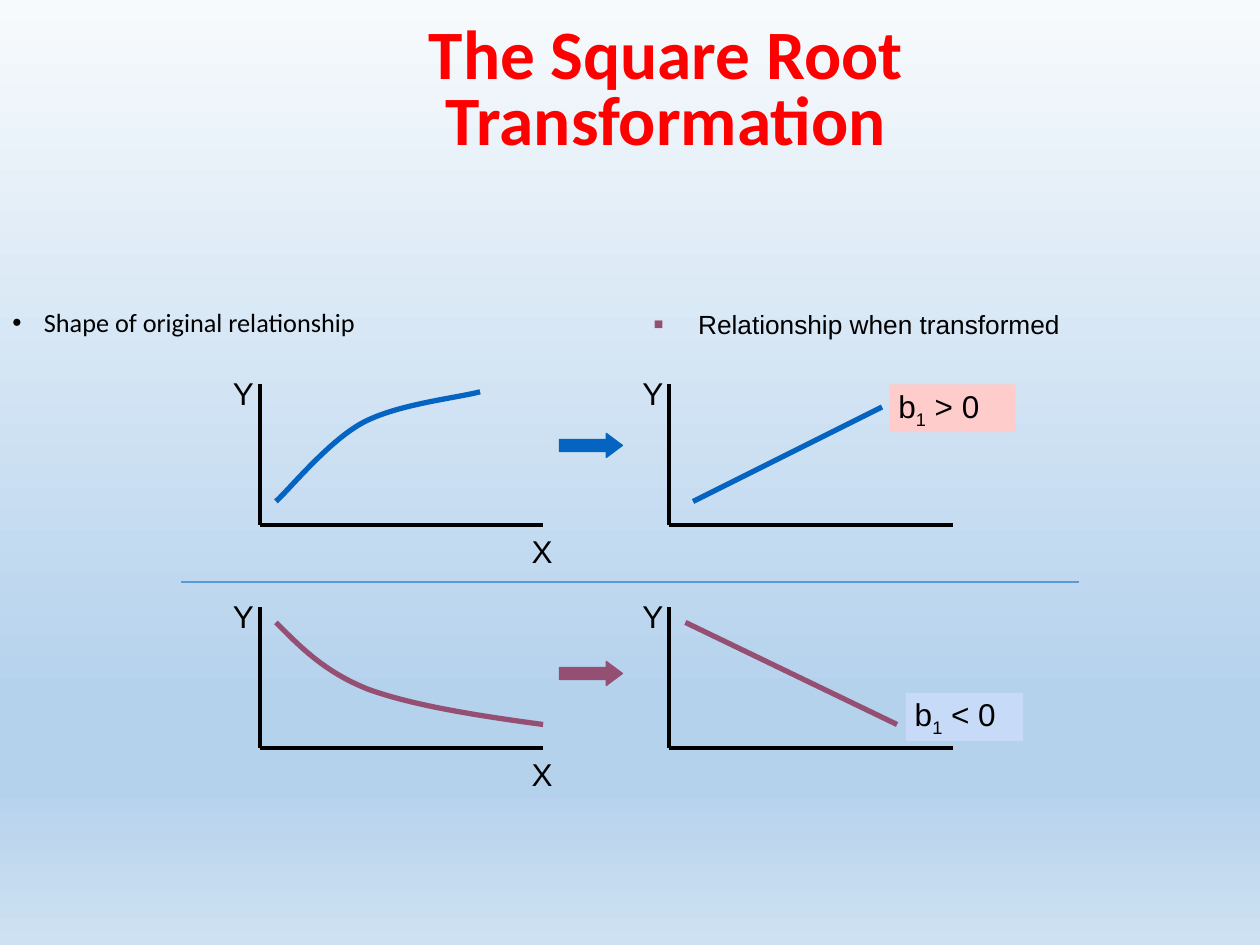
from lxml import etree
from pptx import Presentation
from pptx import util as u
from pptx.dml import color
from pptx.enum import shapes, text
from pptx.oxml import ns

COLORS = {"title": "FF0000", "ink": "000000", "rise": "0563C1", "fall": "954F72",
          "divider": "5B9BD5", "rise_tag": "FFCCCC", "fall_tag": "C7DAF7"}
BACKGROUND = [(0, "F7FAFD"), (74, "B5D2EC"), (83, "B5D2EC"), (100, "CEE1F2")]
TIGHT = (0.07, 0.04)


def rgb(name):
    return color.RGBColor.from_string(COLORS[name])


def add_xml(parent, tag, **attributes):
    return etree.SubElement(parent, ns.qn(tag), attributes)


def write(frame, runs, size=18, font="Arial", ink="ink", bold=False, spacing=1.0,
          align=text.PP_ALIGN.LEFT, anchor=text.MSO_ANCHOR.TOP, insets=(0.1, 0.05),
          bullet=None, indent=0, bullet_ink="ink", bullet_size=100):
    """Fill a text frame with runs; every second run is a subscript."""
    frame.word_wrap = True
    frame.auto_size = text.MSO_AUTO_SIZE.NONE
    frame.vertical_anchor = anchor
    frame.margin_left = frame.margin_right = u.Inches(insets[0])
    frame.margin_top = frame.margin_bottom = u.Inches(insets[1])
    line = frame.paragraphs[0]
    line.alignment = align
    line.line_spacing = spacing
    line.space_before = u.Pt(0)
    if bullet:
        props = line._p.get_or_add_pPr()
        props.set("marL", str(u.Inches(indent)))
        props.set("indent", str(-u.Inches(indent)))
        add_xml(add_xml(props, "a:buClr"), "a:srgbClr", val=COLORS[bullet_ink])
        add_xml(props, "a:buSzPct", val=str(bullet_size * 1000))
        add_xml(props, "a:buFont", typeface="Arial")
        add_xml(props, "a:buChar", char=bullet)
    for position, words in enumerate(runs):
        run = line.add_run()
        run.text = words
        run.font.size = u.Pt(size)
        run.font.name = font
        run.font.bold = bold
        run.font.color.rgb = rgb(ink)
        if position % 2:
            run.font._element.set("baseline", "-25000")


class Canvas:
    """Holds the current slide and draws each kind of element in one style."""

    def __init__(self, slide):
        self.slide = slide

    def background(self, stops):
        self.slide.background.fill.gradient()
        self.slide.background.fill.gradient_angle = 270
        stop_list = self.slide.element.find(".//" + ns.qn("a:gsLst"))
        for old in list(stop_list):
            stop_list.remove(old)
        for percent, value in stops:
            stop = add_xml(stop_list, "a:gs", pos=str(percent * 1000))
            add_xml(stop, "a:srgbClr", val=value)

    def title(self, words, *box):
        heading = self.slide.shapes.title
        heading.left, heading.top, heading.width, heading.height = map(u.Inches, box)
        write(heading.text_frame, [words], size=39.6, font="Calibri", ink="title",
              bold=True, spacing=0.8, align=text.PP_ALIGN.CENTER,
              anchor=text.MSO_ANCHOR.MIDDLE)

    def label(self, words, *box, **style):
        label = self.slide.shapes.add_textbox(*map(u.Inches, box))
        write(label.text_frame, [words], **style)

    def block(self, kind, fill, *box):
        block = self.slide.shapes.add_shape(kind, *map(u.Inches, box))
        block.shadow.inherit = False
        block.fill.solid()
        block.fill.fore_color.rgb = rgb(fill)
        block.line.fill.background()
        return block

    def tag(self, runs, fill, *box):
        tag = self.block(shapes.MSO_SHAPE.RECTANGLE, fill, *box)
        write(tag.text_frame, runs, anchor=text.MSO_ANCHOR.MIDDLE, insets=TIGHT)

    def arrow(self, ink, *box):
        arrow = self.block(shapes.MSO_SHAPE.RIGHT_ARROW, ink, *box)
        arrow.adjustments[1] = 0.667
        arrow.line.color.rgb = rgb(ink)
        arrow.line.width = u.Pt(0.75)

    def line(self, start, end, ink="ink", width=2.25):
        line = self.slide.shapes.add_connector(
            shapes.MSO_CONNECTOR.STRAIGHT, *map(u.Inches, start + end))
        line.line.color.rgb = rgb(ink)
        line.line.width = u.Pt(width)
        add_xml(line._element.spPr, "a:effectLst")

    def curve(self, points, ink):
        """Draw cubic Bezier segments: a start, then three points for each."""
        start, *controls = [(u.Inches(x), u.Inches(y)) for x, y in points]
        builder = self.slide.shapes.build_freeform(*start)
        builder.add_line_segments(controls, close=False)
        curve = builder.convert_to_shape()
        curve.shadow.inherit = False
        curve.fill.background()
        curve.line.color.rgb = rgb(ink)
        curve.line.width = u.Pt(3)
        outline = curve._element.find(".//" + ns.qn("a:path"))
        steps = outline.findall(ns.qn("a:lnTo"))
        for first in range(0, len(steps), 3):
            bezier = add_xml(outline, "a:cubicBezTo")
            for step in steps[first:first + 3]:
                bezier.append(step[0])
                outline.remove(step)

    def axes(self, left, top, x_label):
        base = top + 1.12
        self.line((left, top), (left, base))
        self.line((left, base), (left + 2.25, base))
        self.label("Y", left - 0.31, top - 0.13, 0.31, 0.4)
        if x_label:
            self.label("X", left + 2.06, base, 0.31, 0.4)


def main():
    deck = Presentation()
    deck.slide_width, deck.slide_height = u.Inches(10), u.Inches(7.5)
    canvas = Canvas(deck.slides.add_slide(deck.slide_layouts[5]))
    canvas.background(BACKGROUND)
    canvas.title("The Square Root Transformation", 2.16, 0.33, 6.25, 0.81)
    canvas.label("Shape of original relationship", 0, 2.41, 3.25, 0.59, size=15,
                 font="Calibri", spacing=0.9, bullet="•", indent=0.25)
    canvas.label("Relationship when transformed", 5.12, 2.41, 3.38, 0.59, size=15,
                 insets=TIGHT, bullet="■", indent=0.35, bullet_ink="fall",
                 bullet_size=60)

    for top in (3.05, 4.82):
        canvas.axes(2.06, top, x_label=True)
        canvas.axes(5.31, top, x_label=False)
    canvas.line((1.44, 4.62), (8.56, 4.62), "divider", 1.5)

    canvas.curve([(2.19, 3.98), (2.3, 3.88), (2.6, 3.51), (2.87, 3.36),
                  (3.14, 3.21), (3.62, 3.16), (3.81, 3.11)], "rise")
    canvas.arrow("rise", 4.44, 3.44, 0.5, 0.19)
    canvas.line((5.5, 3.98), (7, 3.23), "rise", 3)
    canvas.tag(["b", "1", " > 0"], "rise_tag", 7.06, 3.05, 1, 0.38)

    canvas.curve([(2.19, 4.94), (2.38, 5.13), (2.57, 5.33), (2.92, 5.47),
                  (3.28, 5.6), (3.79, 5.68), (4.31, 5.75)], "fall")
    canvas.arrow("fall", 4.44, 5.25, 0.5, 0.19)
    canvas.line((5.44, 4.94), (7.12, 5.75), "fall", 3)
    canvas.tag(["b", "1", " < 0"], "fall_tag", 7.19, 5.5, 0.93, 0.38)
    deck.save("out.pptx")


if __name__ == "__main__":
    main()
